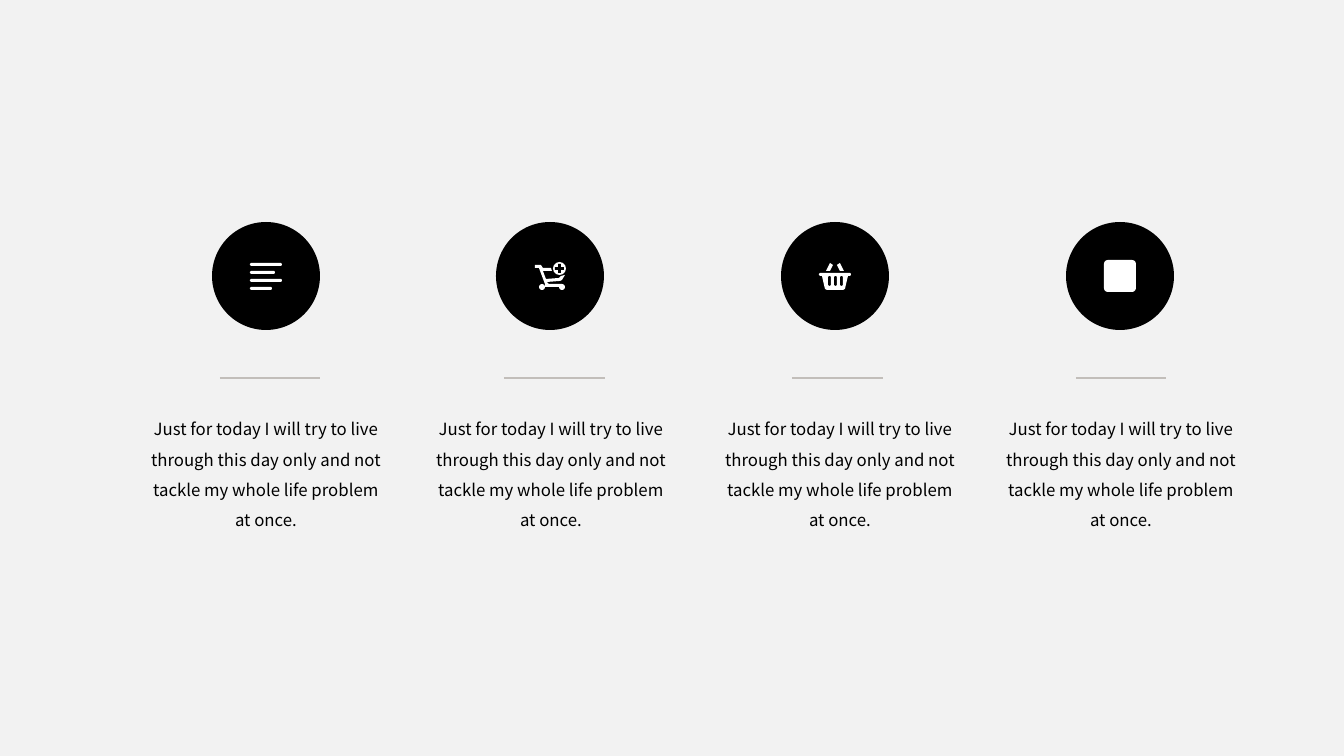
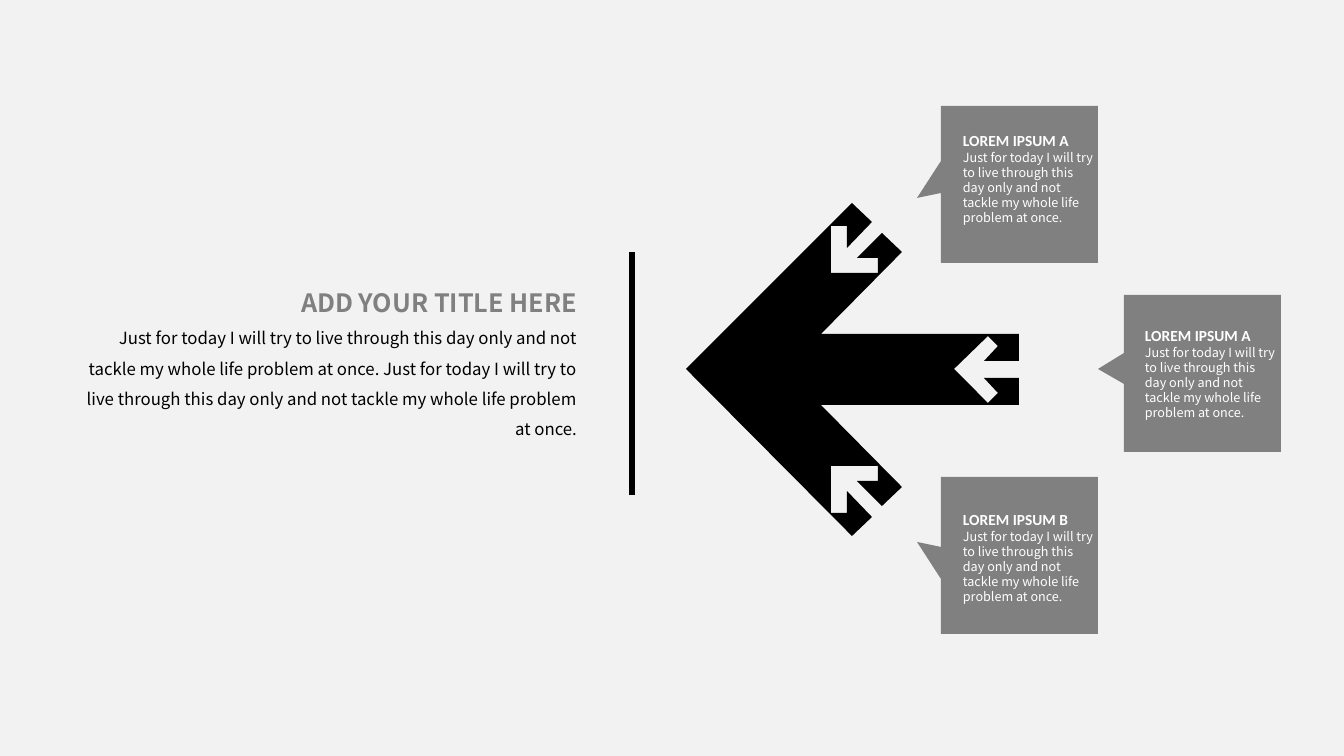
from lxml.etree import SubElement
from pptx import Presentation
from pptx.dml.color import RGBColor
from pptx.enum.shapes import MSO_CONNECTOR, MSO_SHAPE
from pptx.enum.text import MSO_ANCHOR, MSO_AUTO_SIZE, PP_ALIGN
from pptx.oxml.ns import qn
from pptx.util import Pt

PX = 914400 / 100.8
COLORS = {
    "background": "F2F2F2",
    "ink": "000000",
    "paper": "FFFFFF",
    "muted": "808080",
    "rule": "C2BEBA",
}
FONT = "Noto Sans CJK SC"
HEADING_FONT = "Calibri"
SENTENCE = ("Just for today I will try to live through this day only "
            "and not tackle my whole life problem at once.")
DISC = 108
CARD = 157


def px(length):
    return round(length * PX)


def color(name):
    return RGBColor.from_string(COLORS[name])


def paint(shape, fill):
    """Give a shape a flat fill without line or shadow."""
    shape.shadow.inherit = False
    shape.fill.solid()
    shape.fill.fore_color.rgb = color(fill)
    shape.line.fill.background()
    return shape


def add_preset(slide, preset, left, top, width, height, fill, adjust=None):
    shape = slide.shapes.add_shape(preset, px(left), px(top), px(width), px(height))
    if adjust is not None:
        shape.adjustments[0] = adjust
    return paint(shape, fill)


def add_outline(slide, contours, fill, left=0, top=0):
    """Draw closed contours, given relative to left and top, as one shape."""
    placed = [[(left + x, top + y) for x, y in contour] for contour in contours]
    builder = slide.shapes.build_freeform(*placed[0][0], scale=PX)
    for index, contour in enumerate(placed):
        if index:
            builder.move_to(*contour[0])
        builder.add_line_segments(contour[1:], close=True)
    return paint(builder.convert_to_shape(), fill)


def soft_bar(left, top, width, height):
    """Return the contour of a bar with its corners cut by one pixel."""
    right, bottom = left + width, top + height
    return [(left, top + 1), (left + 1, top), (right - 1, top), (right, top + 1),
            (right, bottom - 1), (right - 1, bottom), (left + 1, bottom),
            (left, bottom - 1)]


def add_rule(slide, start, end, stroke, weight):
    rule = slide.shapes.add_connector(
        MSO_CONNECTOR.STRAIGHT, *(px(value) for value in (*start, *end)))
    rule.line.color.rgb = color(stroke)
    rule.line.width = Pt(weight)
    SubElement(rule._element.spPr, qn("a:effectLst"))


def write(paragraph, text, size=12, font=FONT, fill="ink", bold=False,
          align=PP_ALIGN.LEFT, spacing=1.0):
    properties = paragraph._p.get_or_add_pPr()
    properties.set("marL", "0")
    properties.set("indent", "0")
    SubElement(properties, qn("a:buNone"))
    paragraph.alignment = align
    paragraph.line_spacing = spacing
    paragraph.space_before = Pt(0)
    run = paragraph.add_run()
    run.text = text
    run.font.size = Pt(size)
    run.font.name = font
    run.font.bold = bold
    run.font.color.rgb = color(fill)


def set_frame(shape, left, top, width, height, anchor=MSO_ANCHOR.TOP, margins=(10, 5)):
    """Place a text holder and return its frame, ready for writing."""
    shape.left, shape.top, shape.width, shape.height = map(px, (left, top, width, height))
    frame = shape.text_frame
    frame.word_wrap = True
    frame.auto_size = MSO_AUTO_SIZE.NONE
    frame.vertical_anchor = anchor
    frame.margin_left = frame.margin_right = px(margins[0])
    frame.margin_top = frame.margin_bottom = px(margins[1])
    return frame


def add_text_frame(slide, left, top, width, height, **layout):
    box = slide.shapes.add_textbox(0, 0, 0, 0)
    return set_frame(box, left, top, width, height, **layout)


def draw_lines_icon(slide, left, top):
    bars = [soft_bar(38, 41 + 8 * row, width, 3)
            for row, width in enumerate((32, 25, 32, 22))]
    add_outline(slide, bars, "paper", left, top)


def draw_cart_icon(slide, left, top):
    frame = [(39, 43), (45, 43), (47, 46), (55, 46), (56, 49), (47, 49), (50, 57),
             (63, 56), (65, 54), (69, 53), (66, 58), (64, 59), (51, 60), (53, 62),
             (66, 62), (66, 65), (49, 65), (49, 62), (43, 46), (39, 46)]
    add_outline(slide, [frame], "paper", left, top)
    for wheel in (43, 63):
        add_preset(slide, MSO_SHAPE.OVAL, left + wheel, top + 62, 6, 6, "paper")
    add_preset(slide, MSO_SHAPE.OVAL, left + 57, top + 40, 13, 13, "paper")
    add_preset(slide, MSO_SHAPE.CROSS, left + 59, top + 42, 9, 9, "ink", 0.35)


def draw_basket_icon(slide, left, top):
    handle = [(56, 43), (59, 41), (63, 49), (59, 49)]
    mirrored_handle = [(DISC - x, y) for x, y in handle]
    rim = soft_bar(38, 51, 32, 3)
    body = [(41, 54), (67, 54), (64, 67), (62, 68), (46, 68), (44, 67)]
    slots = [soft_bar(47 + 6 * slot, 54, 3, 10) for slot in range(3)]
    add_outline(slide, [rim, body, *slots, handle, mirrored_handle], "paper", left, top)


def draw_plain_icon(slide, left, top):
    add_preset(slide, MSO_SHAPE.ROUNDED_RECTANGLE, left + 38, top + 38, 32, 32,
               "paper", 0.12)


def build_icon_columns(slide):
    columns = [
        (draw_lines_icon, 145, (220, 320)),
        (draw_cart_icon, 430, (504, 605)),
        (draw_basket_icon, 719, (792, 883)),
        (draw_plain_icon, 1000, (1076, 1166)),
    ]
    first_disc, last_disc, top = 212, 1066, 222
    for index, (draw_icon, text_left, (rule_start, rule_end)) in enumerate(columns):
        left = first_disc + (last_disc - first_disc) * index // (len(columns) - 1)
        add_preset(slide, MSO_SHAPE.OVAL, left, top, DISC, DISC, "ink")
        draw_icon(slide, left, top)
        add_rule(slide, (rule_start, 378), (rule_end, 378), "rule", 1)
        caption = add_text_frame(slide, text_left, 407, 242, 125,
                                 anchor=MSO_ANCHOR.MIDDLE, margins=(3, 3))
        write(caption.paragraphs[0], SENTENCE, align=PP_ALIGN.CENTER, spacing=1.5)


def draw_merging_arrow(slide):
    """Draw the three-tailed arrow, mirrored about its horizontal axis."""
    upper = [(686, 369), (852, 203), (872, 222), (847, 248), (847, 226), (831, 226),
             (831, 273), (878, 273), (878, 258), (857, 258), (882, 233), (902, 252),
             (821, 334), (1019, 334), (1019, 361), (984, 361), (998, 346), (988, 336),
             (954, 369)]
    lower = [(x, 739 - y) for x, y in upper[-2:0:-1]]
    add_outline(slide, [upper + lower], "ink")


def add_callout(slide, left, top, pointer, heading, text_left, text_top):
    """Draw a square card with a pointer on its left side and its text."""
    corners = [(0, 0), (CARD, 0), (CARD, CARD), (0, CARD)]
    add_outline(slide, [corners + pointer], "muted", left, top)
    frame = add_text_frame(slide, text_left, text_top, 152, 130)
    write(frame.paragraphs[0], heading, size=11, font=HEADING_FONT, fill="paper",
          bold=True, spacing=1.5)
    write(frame.add_paragraph(), SENTENCE, size=9, fill="paper")


def build_arrow_slide(slide):
    title, body = slide.placeholders
    title_frame = set_frame(title, 63, 267, 524, 51)
    write(title_frame.paragraphs[0], "ADD YOUR TITLE HERE", size=18, fill="muted",
          bold=True, align=PP_ALIGN.RIGHT, spacing=1.5)
    body_frame = set_frame(body, 63, 313, 524, 155)
    write(body_frame.paragraphs[0], f"{SENTENCE} {SENTENCE}",
          align=PP_ALIGN.RIGHT, spacing=1.5)
    add_rule(slide, (632, 252), (632, 495), "ink", 4)
    draw_merging_arrow(slide)

    downward = [(0, 87), (-24, 92), (0, 55)]
    upward = [(x, CARD - y) for x, y in reversed(downward)]
    level = [(0, 89), (-26, 74), (0, 58)]
    add_callout(slide, 941, 106, downward, "LOREM IPSUM A", 953, 117)
    add_callout(slide, 1124, 295, level, "LOREM IPSUM A", 1135, 312)
    add_callout(slide, 941, 477, upward, "LOREM IPSUM B", 953, 496)


def main():
    deck = Presentation()
    deck.slide_width, deck.slide_height = px(1344), px(756)
    backdrop = deck.slide_master.background.fill
    backdrop.solid()
    backdrop.fore_color.rgb = color("background")
    content_layout = deck.slide_layouts.get_by_name("Title and Content")
    blank_layout = deck.slide_layouts.get_by_name("Blank")
    build_icon_columns(deck.slides.add_slide(blank_layout))
    build_arrow_slide(deck.slides.add_slide(content_layout))
    deck.save("out.pptx")


if __name__ == "__main__":
    main()
